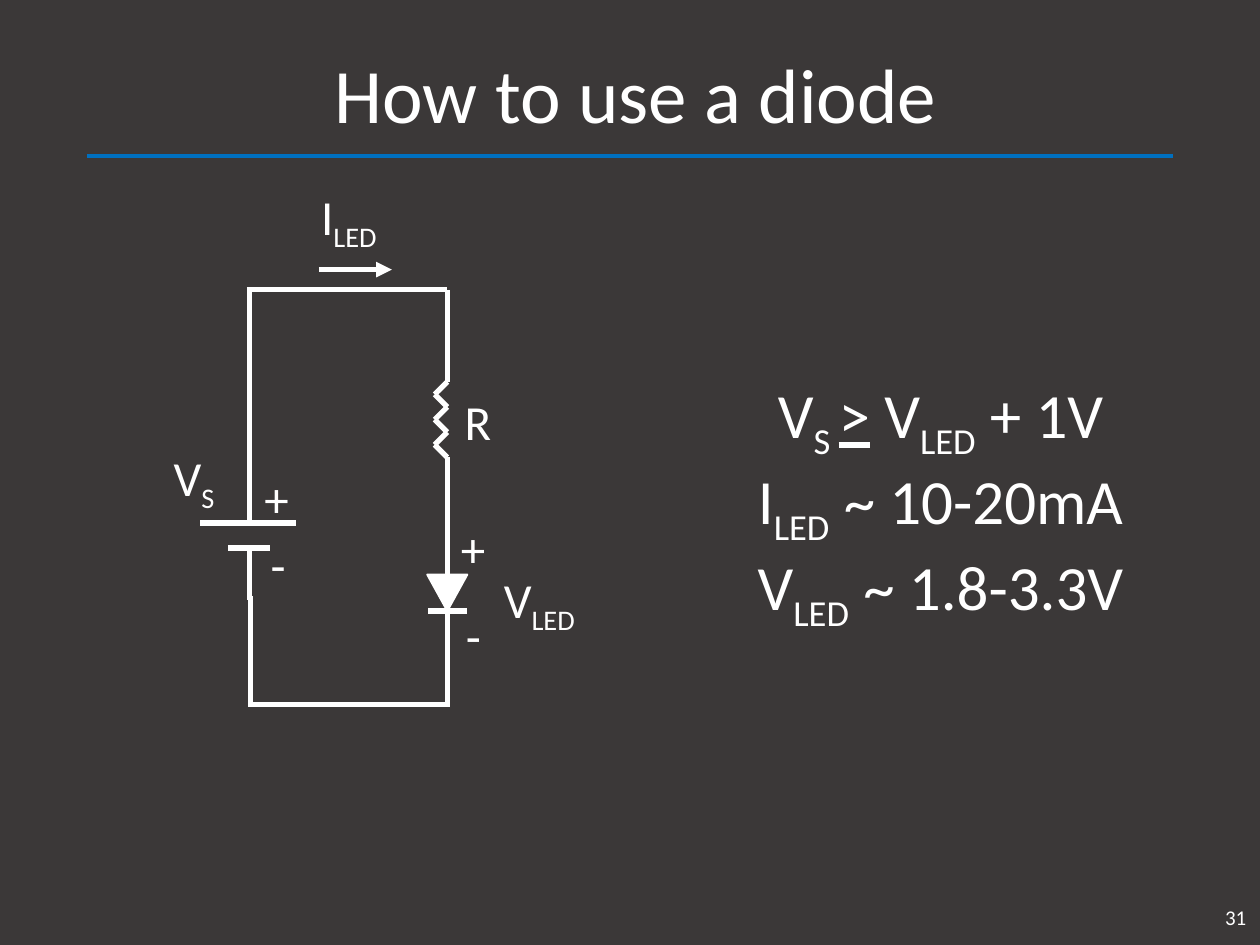
"""Build the slide "How to use a diode": an LED circuit beside its design rules."""
from itertools import pairwise

from lxml.etree import SubElement
from pptx import Presentation
from pptx.dml.color import RGBColor
from pptx.enum.shapes import MSO_CONNECTOR, MSO_SHAPE
from pptx.enum.text import MSO_ANCHOR, PP_ALIGN
from pptx.oxml.ns import qn
from pptx.util import Inches, Pt

rgb = RGBColor.from_string
WHITE, BLUE, DARK = "FFFFFF", "0070C0", "3B3838"
LEFT, RIGHT, TOP, BOTTOM = 1.98, 3.55, 2.3, 5.59


def add_line(start, end, color=WHITE, width=3):
    """Draw a straight line between two points."""
    s = slide.shapes.add_connector(
        MSO_CONNECTOR.STRAIGHT, *[Inches(v) for v in (*start, *end)])
    s.line.color.rgb = rgb(color)
    s.line.width = Pt(width)
    SubElement(s._element.spPr, qn("a:effectLst"))
    return s


def add_text(box, lines, size, align=PP_ALIGN.LEFT, anchor=MSO_ANCHOR.TOP):
    """Add a text box whose lines are lists of (text, style) runs."""
    tf = slide.shapes.add_textbox(*[Inches(v) for v in box]).text_frame
    tf.word_wrap = True
    tf.vertical_anchor = anchor
    for i, line in enumerate(lines):
        p = tf.add_paragraph() if i else tf.paragraphs[0]
        p.alignment = align
        for text, style in line:
            r = p.add_run()
            r.text = text
            r.font.name = "Calibri"
            r.font.size = Pt(size)
            r.font.color.rgb = rgb(WHITE)
            if style == "sub":
                r._r.get_or_add_rPr().set("baseline", "-25000")
            elif style == "underline":
                r.font.underline = True


prs = Presentation()
prs.slide_width, prs.slide_height = Inches(10), Inches(7.5)
slide = prs.slides.add_slide(prs.slide_layouts[5])
slide.background.fill.solid()
slide.background.fill.fore_color.rgb = rgb(DARK)

add_line((0.69, 1.24), (9.31, 1.24), BLUE, 2.25)
title = slide.shapes.title
title.left, title.top, title.width, title.height = [
    Inches(v) for v in (0.51, 0.24, 9.07, 1.09)]
tf = title.text_frame
tf.text = "How to use a diode"
tf.vertical_anchor = MSO_ANCHOR.MIDDLE
p = tf.paragraphs[0]
p.alignment = PP_ALIGN.CENTER
p.line_spacing = 0.9
font = p.runs[0].font
font.name, font.size = "Calibri", Pt(44)
font.color.rgb = rgb(WHITE)

add_text((7.74, 7.08, 2.25, 0.4), [[("31", "")]], 12, PP_ALIGN.RIGHT, MSO_ANCHOR.MIDDLE)
rules = [
    [("V", ""), ("S ", "sub"), (">", "underline"), (" V", ""), ("LED", "sub"), (" + 1V", "")],
    [("I", ""), ("LED", "sub"), (" ~ 10-20mA", "")],
    [("V", ""), ("LED", "sub"), (" ~ 1.8-3.3V", "")],
]
add_text((5.4, 2.93, 4.13, 1.92), rules, 36, PP_ALIGN.CENTER)

zigzag = [(RIGHT - 0.1 * (i % 2), 3.03 + 0.1 * i) for i in range(7)]
resistor = [(RIGHT, 2.84), *zigzag, (RIGHT, 3.81)]
wires = [
    ((LEFT, 4.14), (LEFT, TOP)),
    ((1.96, TOP), (RIGHT, TOP)),
    ((RIGHT, TOP), (RIGHT, 2.86)),
    *pairwise(resistor),
    ((RIGHT, 3.69), (RIGHT, 4.25)),
    ((RIGHT, 4.17), (RIGHT, 5.28)),
    ((RIGHT, 5.06), (RIGHT, 5.61)),
    ((1.97, BOTTOM), (RIGHT, BOTTOM)),
    ((LEFT, 4.35), (LEFT, 4.76)),
    ((1.99, 4.73), (1.99, BOTTOM)),
]
battery_plates = [((1.59, 4.15), (2.35, 4.15)), ((1.81, 4.35), (2.14, 4.35))]
diode_bar = ((3.4, 4.85), (3.71, 4.85))
for start, end in [*wires, *battery_plates, diode_bar]:
    add_line(start, end)

diode = slide.shapes.add_shape(
    MSO_SHAPE.ISOSCELES_TRIANGLE, Inches(3.39), Inches(4.56), Inches(0.32), Inches(0.29))
diode.rotation = 180
diode.shadow.inherit = False
diode.fill.solid()
diode.fill.fore_color.rgb = rgb(WHITE)
diode.line.color.rgb = rgb(WHITE)
diode.line.width = Pt(1)

arrow = add_line((2.53, 2.14), (3.11, 2.14))
SubElement(arrow.line._get_or_add_ln(), qn("a:tailEnd"), type="triangle")

labels = [
    (2.45, 1.43, 0.83, "I", "LED"),
    (1.28, 3.5, 0.67, "V", "S"),
    (3.9, 4.47, 0.87, "V", "LED"),
    (3.59, 3.06, 0.53, "R", ""),
    (2, 3.67, 0.3, "+", ""),
    (2.05, 4.19, 0.3, "-", ""),
    (3.56, 4.07, 0.3, "+", ""),
    (3.6, 4.76, 0.3, "-", ""),
]
for x, y, width, symbol, sub in labels:
    runs = [(symbol, "")] + ([(sub, "sub")] if sub else [])
    add_text((x, y, width, 0.57), [runs], 28)

prs.save("out.pptx")
